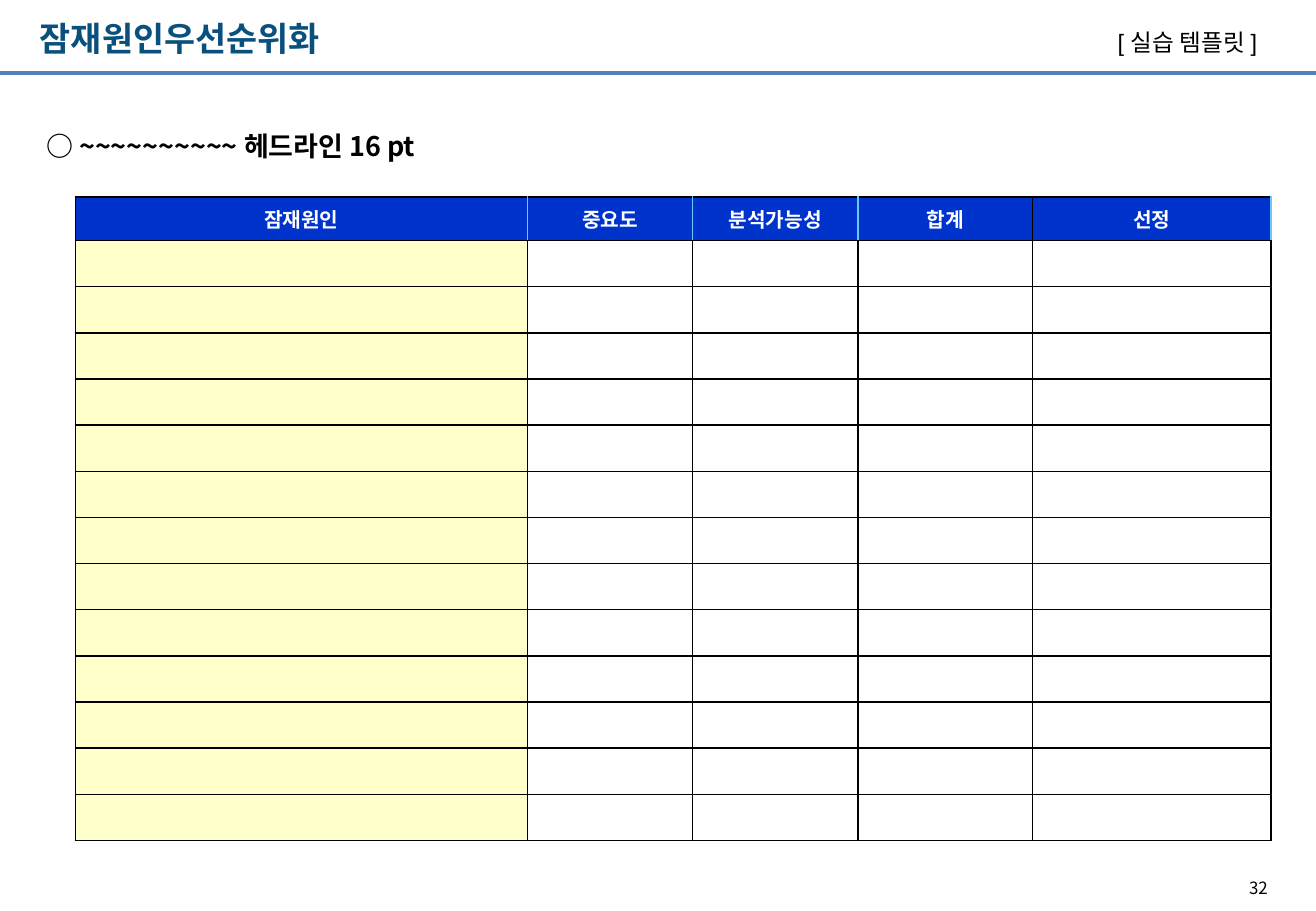
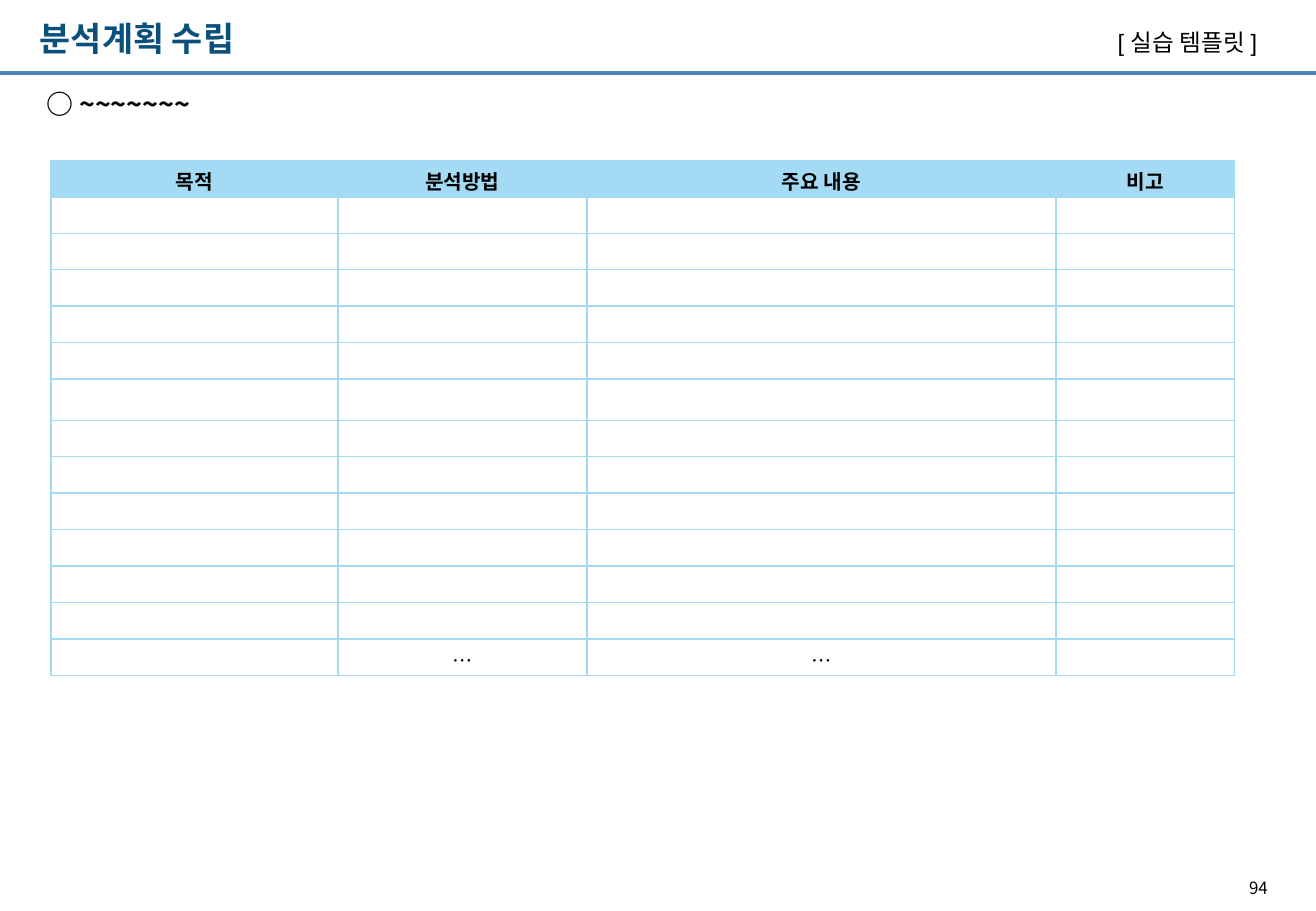
"""Build two worksheet template slides: cause ranking and analysis planning."""
from dataclasses import dataclass, field

from lxml import etree
from pptx import Presentation
from pptx.dml.color import RGBColor
from pptx.enum.shapes import MSO_CONNECTOR
from pptx.enum.text import MSO_ANCHOR, MSO_AUTO_SIZE, PP_ALIGN
from pptx.oxml.ns import qn
from pptx.util import Inches, Pt

LEFT, CENTER, RIGHT = PP_ALIGN.LEFT, PP_ALIGN.CENTER, PP_ALIGN.RIGHT
MIDDLE, TOP = MSO_ANCHOR.MIDDLE, MSO_ANCHOR.TOP
GROW, FIXED = MSO_AUTO_SIZE.SHAPE_TO_FIT_TEXT, MSO_AUTO_SIZE.NONE
STRAIGHT = MSO_CONNECTOR.STRAIGHT

COLORS = {
    "title": "09507D",
    "rule": "4F81BD",
    "black": "000000",
    "white": "FFFFFF",
    "royal": "0033CC",
    "cyan": "66CCFF",
    "cream": "FFFFCC",
    "sky": "A4DAF4",
}
KOREAN, LATIN = "Noto Sans CJK KR", "Arial"
SLIDE_WIDTH, SLIDE_HEIGHT = 10.83, 7.5
BLANK_LAYOUT = 6
EMPTY_CELL_SIZE = 8


@dataclass(frozen=True)
class Grid:
    """Content and styling of one worksheet table."""
    left: float
    top: float
    widths: list[float]
    heights: list[float]
    headers: list[str]
    header_fill: str
    header_color: str
    border: str
    header_divider: str
    first_column_fill: str
    font: str
    margins: tuple[float, float]
    anchor: MSO_ANCHOR
    thin_edge: int | None = None
    entries: dict[tuple[int, int], str] = field(default_factory=dict)


@dataclass(frozen=True)
class Worksheet:
    """One slide with its title, headline, table and page number."""
    title: str
    headline: str
    headline_top: float
    page: str
    grid: Grid


WORKSHEETS = [
    Worksheet(
        "잠재원인우선순위화", "○ ~~~~~~~~~~ 헤드라인 16 pt", 1.07, "32",
        Grid(
            0.62, 1.62, [3.72, 1.36, 1.36, 1.44, 1.96], [0.36] + [0.38] * 13,
            ["잠재원인", "중요도", "분석가능성", "합계", "선정"],
            "royal", "white", "black", "cyan", "cream", LATIN,
            (0.05, 0.05), MIDDLE, thin_edge=4,
        ),
    ),
    Worksheet(
        "분석계획 수립", "○ ~~~~~~~", 0.72, "94",
        Grid(
            0.42, 1.32, [2.36, 2.05, 3.86, 1.47],
            [0.3] * 6 + [0.34] + [0.3] * 7,
            ["목적", "분석방법", "주요 내용", "비고"],
            "sky", "black", "sky", "sky", "white", KOREAN,
            (0.05, 0), TOP, entries={(13, 1): "…", (13, 2): "…"},
        ),
    ),
]


def rgb(name: str) -> RGBColor:
    """Look up a named colour."""
    return RGBColor.from_string(COLORS[name])


def write(frame, text: str, *, size: float, color: str = "black",
          font: str = KOREAN, bold: bool = False, align=LEFT) -> None:
    """Put one formatted run into the first paragraph of a frame."""
    paragraph = frame.paragraphs[0]
    paragraph.alignment = align
    run = paragraph.add_run()
    run.text = text
    run.font.size = Pt(size)
    run.font.bold = bold
    run.font.name = font
    run.font.color.rgb = rgb(color)
    east_asian = etree.SubElement(run.font._element, qn("a:ea"))
    east_asian.set("typeface", KOREAN)


def add_label(slide, text: str, box: tuple[float, float, float, float], *,
              inset: bool = True, **style) -> None:
    """Add a wrapping text box, either growing with insets or flush."""
    frame = slide.shapes.add_textbox(*map(Inches, box)).text_frame
    frame.word_wrap = True
    frame.auto_size = GROW if inset else FIXED
    if not inset:
        frame.margin_left = frame.margin_right = 0
        frame.margin_top = frame.margin_bottom = 0
    write(frame, text, **style)


def set_border(cell, side: str, color: str, width: float) -> None:
    """Append one solid border to a table cell."""
    line = etree.SubElement(cell._tc.get_or_add_tcPr(), qn(f"a:ln{side}"))
    line.set("w", str(Pt(width)))
    fill = etree.SubElement(line, qn("a:solidFill"))
    etree.SubElement(fill, qn("a:srgbClr")).set("val", COLORS[color])


def edge_style(grid: Grid, row: int, edge: int) -> tuple[str, float]:
    """Give colour and width of a vertical edge in a row."""
    if edge == grid.thin_edge:
        return grid.border, 0.75
    if row == 0 and edge > 0:
        return grid.header_divider, 1
    return grid.border, 1


def style_cell(cell, grid: Grid, row: int, column: int) -> None:
    """Set borders, fill, margins and text of one cell."""
    set_border(cell, "L", *edge_style(grid, row, column))
    set_border(cell, "R", *edge_style(grid, row, column + 1))
    for side in "TB":
        set_border(cell, side, grid.border, 1)

    is_header = row == 0
    body_fill = grid.first_column_fill if column == 0 else "white"
    cell.fill.solid()
    cell.fill.fore_color.rgb = rgb(grid.header_fill if is_header else body_fill)
    cell.margin_top, cell.margin_bottom = map(Inches, grid.margins)
    cell.vertical_anchor = grid.anchor

    text = grid.headers[column] if is_header else grid.entries.get((row, column))
    if text:
        write(cell.text_frame, text, size=12, font=grid.font, bold=is_header,
              color=grid.header_color if is_header else "black", align=CENTER)
    else:
        paragraph = cell.text_frame.paragraphs[0]
        ending = etree.SubElement(paragraph._p, qn("a:endParaRPr"))
        ending.set("sz", str(EMPTY_CELL_SIZE * 100))


def add_grid(slide, grid: Grid) -> None:
    """Add the worksheet table."""
    box = (grid.left, grid.top, sum(grid.widths), sum(grid.heights))
    table = slide.shapes.add_table(
        len(grid.heights), len(grid.widths), *map(Inches, box)).table
    table.horz_banding = False
    for column, width in zip(table.columns, grid.widths):
        column.width = Inches(width)
    for row, height in zip(table.rows, grid.heights):
        row.height = Inches(height)
    for row in range(len(grid.heights)):
        for column in range(len(grid.widths)):
            style_cell(table.cell(row, column), grid, row, column)


def add_frame(slide, title: str, page: str) -> None:
    """Add the title, rule, template tag and page number."""
    add_label(slide, title, (0.23, 0.1, 4.95, 0.44),
              size=20, color="title", bold=True)
    rule = slide.shapes.add_connector(
        STRAIGHT, 0, Inches(0.6), Inches(SLIDE_WIDTH), Inches(0.6))
    rule.line.color.rgb = rgb("rule")
    rule.line.width = Pt(2)
    etree.SubElement(rule._element.spPr, qn("a:effectLst"))
    add_label(slide, "[ 실습 템플릿 ]", (9.1, 0.18, 1.48, 0.34),
              size=14, font=LATIN)
    add_label(slide, page, (10.14, 7.18, 0.39, 0.27), size=10, align=RIGHT)


def main() -> None:
    """Build and save the presentation."""
    deck = Presentation()
    deck.slide_width = Inches(SLIDE_WIDTH)
    deck.slide_height = Inches(SLIDE_HEIGHT)
    for sheet in WORKSHEETS:
        slide = deck.slides.add_slide(deck.slide_layouts[BLANK_LAYOUT])
        add_frame(slide, sheet.title, sheet.page)
        add_label(slide, sheet.headline, (0.38, sheet.headline_top, 10.2, 0.78),
                  inset=False, size=16, bold=True)
        add_grid(slide, sheet.grid)
    deck.save("out.pptx")


if __name__ == "__main__":
    main()
